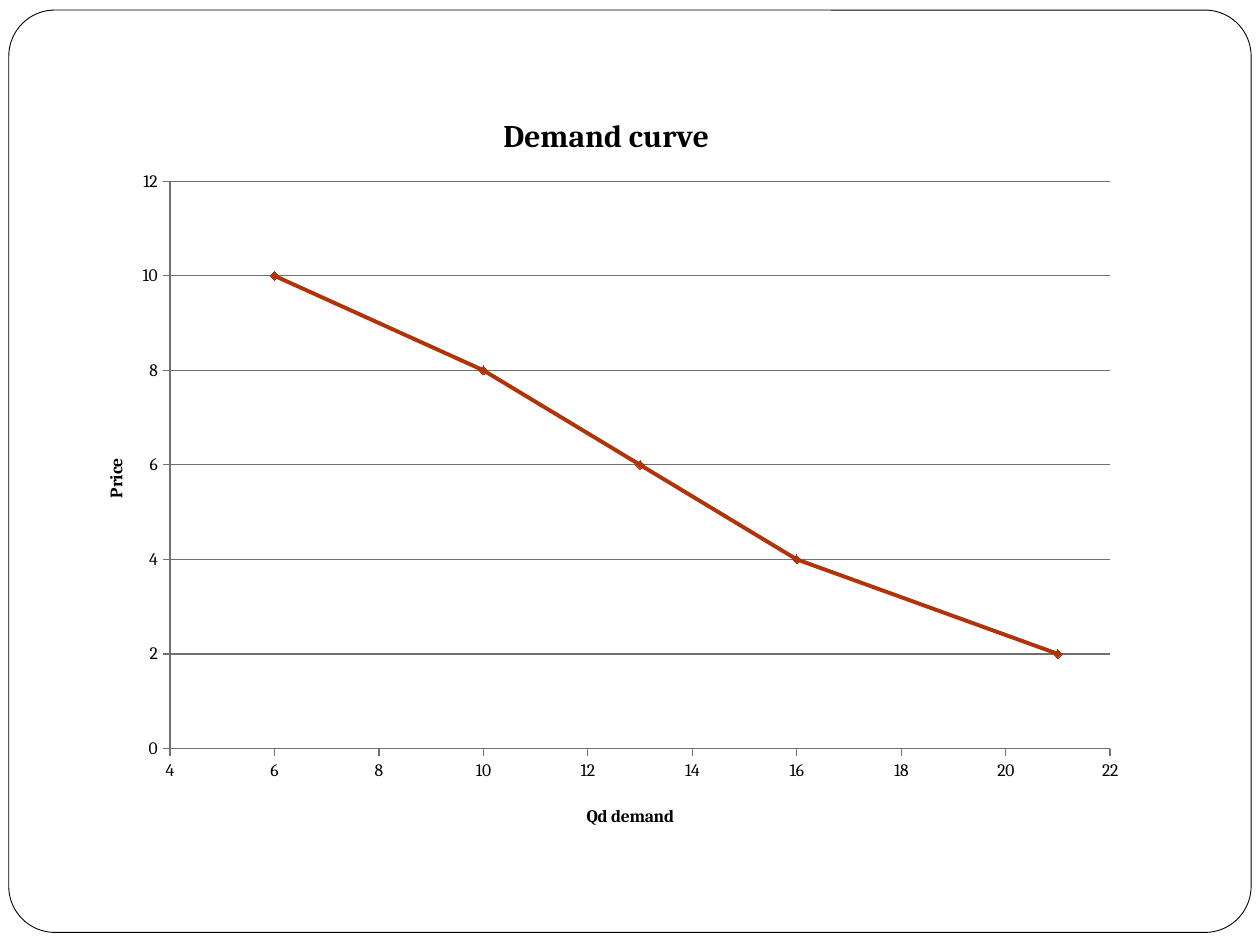
from pptx import Presentation
from pptx.chart.data import XyChartData
from pptx.dml.color import RGBColor
from pptx.enum.chart import XL_CHART_TYPE, XL_MARKER_STYLE, XL_TICK_MARK
from pptx.enum.shapes import MSO_SHAPE
from pptx.oxml import parse_xml
from pptx.oxml.ns import nsdecls, qn
from pptx.util import Inches, Pt

TITLE = "Demand curve"
QUANTITY_TITLE, PRICE_TITLE = "Qd demand", "Price"
DEMAND = [(6, 10), (10, 8), (13, 6), (16, 4), (21, 2)]  # quantity, price
QUANTITY_RANGE, PRICE_RANGE, STEP = (4, 22), (0, 12), 2

THEME = {
    "font": "Cambria",
    "text": RGBColor(0x00, 0x00, 0x00),
    "paper": RGBColor(0xFF, 0xFF, 0xFF),
    "curve": RGBColor(0xB0, 0x33, 0x0A),
    "grid": RGBColor(0x70, 0x70, 0x70),
    "title": Pt(18),
    "body": Pt(10),
}


def set_font(font, size, bold=False):
    font.name, font.size, font.bold = THEME["font"], size, bold
    font.color.rgb = THEME["text"]


def place(element, x, y, w=None, h=None):
    """Place a chart part by fractions of the chart; a width and height mean the inner plot."""
    parts = {"xMode": "edge", "yMode": "edge", "x": x, "y": y}
    if w is not None:
        parts = {"layoutTarget": "inner", **parts, "w": w, "h": h}
    body = "".join(f'<c:{tag} val="{val}"/>' for tag, val in parts.items())
    layout = parse_xml(f'<c:layout {nsdecls("c")}><c:manualLayout>{body}'
                       "</c:manualLayout></c:layout>")
    old = element.find(qn("c:layout"))
    if old is not None:
        element.remove(old)
    tx = element.find(qn("c:tx"))
    if tx is not None:
        tx.addnext(layout)
    else:
        element.insert(0, layout)


def add_title(owner, text, size, x, y):
    owner.has_title = True
    title = owner.chart_title if hasattr(owner, "chart_title") else owner.axis_title
    tf = title.text_frame
    tf.text = text
    set_font(tf.paragraphs[0].runs[0].font, size, bold=True)
    place(title._element, x, y)


def style_axis(axis, limits):
    axis.minimum_scale, axis.maximum_scale = limits
    axis.major_unit = STEP
    axis.major_tick_mark = XL_TICK_MARK.OUTSIDE
    axis.minor_tick_mark = XL_TICK_MARK.NONE
    axis.format.line.color.rgb = THEME["grid"]
    axis.format.line.width = Pt(0.75)
    set_font(axis.tick_labels.font, THEME["body"])


prs = Presentation()
prs.slide_width, prs.slide_height = Inches(10), Inches(7.5)
s = prs.slides.add_slide(prs.slide_layouts[6])

frame = s.shapes.add_shape(MSO_SHAPE.ROUNDED_RECTANGLE, Inches(0.07), Inches(0.08),
                           Inches(9.86), Inches(7.32))
frame.adjustments[0] = 0.05
frame.shadow.inherit = False
frame.fill.solid()
frame.fill.fore_color.rgb = THEME["paper"]
frame.line.color.rgb = THEME["text"]
frame.line.width = Pt(0.5)

data = XyChartData()
series = data.add_series("Series 1")
for quantity, price in DEMAND:
    series.add_data_point(quantity, price)
chart = s.shapes.add_chart(XL_CHART_TYPE.XY_SCATTER_SMOOTH, Inches(0.55), Inches(0.62),
                           Inches(8.5), Inches(6.11), data).chart
set_font(chart.font, THEME["body"])
chart.has_legend = False
quantity_axis, price_axis = chart.category_axis, chart.value_axis
style_axis(quantity_axis, QUANTITY_RANGE)
style_axis(price_axis, PRICE_RANGE)
quantity_axis.has_major_gridlines = False
price_axis.has_major_gridlines = True
grid = price_axis.major_gridlines.format.line
grid.color.rgb, grid.width = THEME["grid"], Pt(0.75)

add_title(chart, TITLE, THEME["title"], 0.4, 0.04)
add_title(quantity_axis, QUANTITY_TITLE, THEME["body"], 0.48, 0.94)
add_title(price_axis, PRICE_TITLE, THEME["body"], 0.03, 0.49)
place(chart._chartSpace.chart.plotArea, 0.094, 0.134, 0.878, 0.737)

plot = chart.plots[0]
plot.vary_by_categories = False
curve = plot.series[0]
curve.smooth = True
curve.format.line.color.rgb = THEME["curve"]
curve.format.line.width = Pt(2.25)
marker = curve.marker
marker.style, marker.size = XL_MARKER_STYLE.DIAMOND, 5
marker.format.fill.solid()
marker.format.fill.fore_color.rgb = THEME["curve"]
marker.format.line.color.rgb = THEME["curve"]

prs.save("out.pptx")
